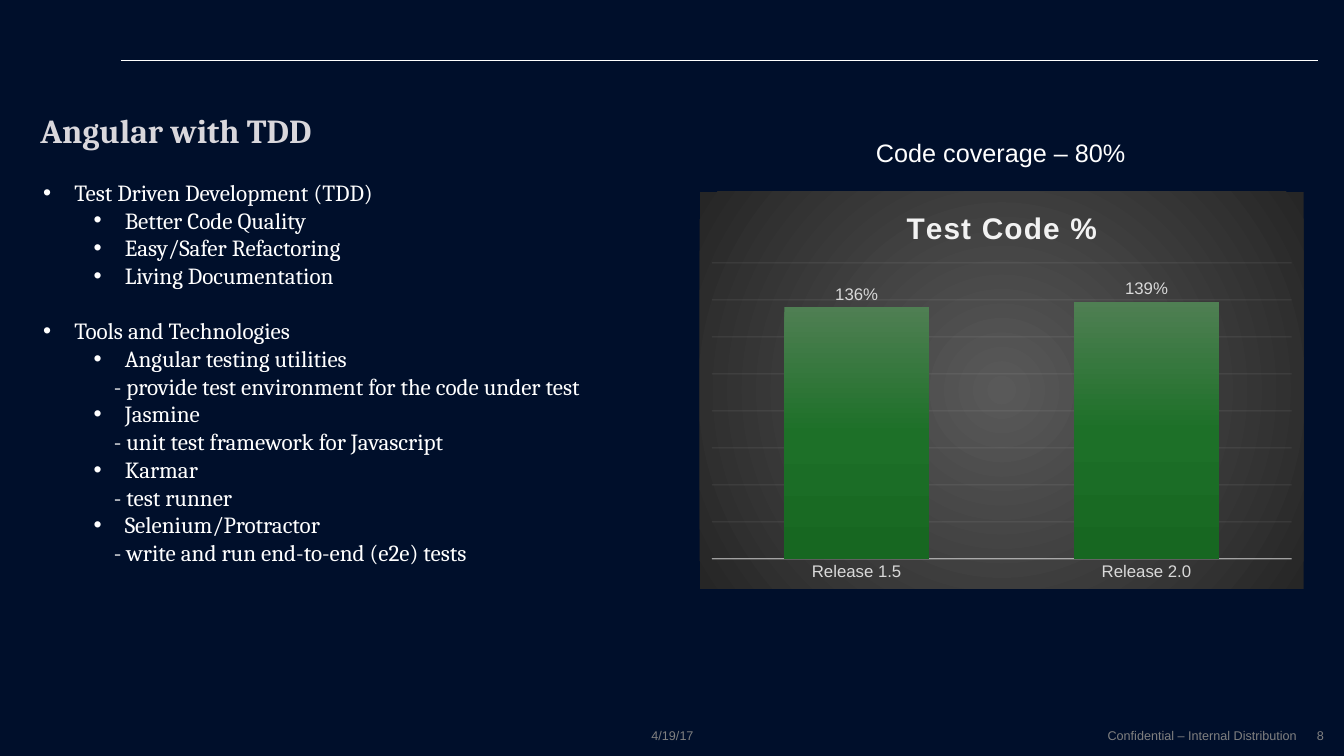
from lxml import etree
from pptx import Presentation
from pptx import util as u
from pptx.chart.data import CategoryChartData
from pptx.dml.color import RGBColor
from pptx.enum import chart as charts, shapes, text
from pptx.oxml import parse_xml
from pptx.oxml.ns import nsdecls, qn

COLORS = {
    "navy": "000F2B", "white": "FFFFFF", "title": "D9D7DC", "footer": "808080",
    "label": "D9D9D9", "light": "F2F2F2", "grey": "595959", "charcoal": "262626",
    "green_top": "4F7F53", "green_middle": "1D7028", "green_bottom": "176721",
}
ALIGN = text.PP_ALIGN
TOPICS = [
    ("topic", "Test Driven Development (TDD)", 0),
    ("item", "Better Code Quality", 0),
    ("item", "Easy/Safer Refactoring", 0),
    ("item", "Living Documentation", 19.7),
    ("topic", "Tools and Technologies", 0),
    ("item", "Angular testing utilities", 0),
    ("note", "- provide test environment for the code under test", 0),
    ("item", "Jasmine", 0),
    ("note", "- unit test framework for Javascript", 0),
    ("item", "Karmar", 0),
    ("note", "- test runner", 0),
    ("item", "Selenium/Protractor", 0),
    ("note", "- write and run end-to-end (e2e) tests", 0),
]
LEVELS = {"topic": (0, 0.31, -0.31), "item": (1, 0.81, -0.31), "note": (1, 0.7, 0)}


class SlideWriter:
    """Holds the style and the current slide, and adds elements to it."""

    def __init__(self, deck):
        self.page = deck.slides.add_slide(deck.slide_layouts[5])
        fill = self.page.background.fill
        fill.solid()
        fill.fore_color.rgb = self.color("navy")

    def color(self, name):
        return RGBColor.from_string(COLORS[name])

    def apply(self, target, **values):
        for name, value in values.items():
            setattr(target, name, value)

    def font(self, font, size, color, name="Arial", bold=False):
        self.apply(font, size=u.Pt(size), name=name, bold=bold)
        font.color.rgb = self.color(color)

    def place(self, box, left, top, width, height):
        self.apply(box, left=u.Inches(left), top=u.Inches(top),
                   width=u.Inches(width), height=u.Inches(height))

    def title(self, words, *area):
        box = self.page.shapes.title
        self.place(box, *area)
        self.apply(box.text_frame, text=words, margin_left=0, word_wrap=True,
                   vertical_anchor=text.MSO_ANCHOR.TOP, auto_size=text.MSO_AUTO_SIZE.NONE)
        para = box.text_frame.paragraphs[0]
        self.apply(para, alignment=ALIGN.LEFT, line_spacing=0.9)
        self.font(para.runs[0].font, 24, "title", "Cambria", True)

    def label(self, words, area, size, color, align=ALIGN.LEFT, wrap=True):
        box = self.page.shapes.add_textbox(*map(u.Inches, area))
        self.apply(box.text_frame, text=words, word_wrap=wrap)
        para = box.text_frame.paragraphs[0]
        para.alignment = align
        self.font(para.runs[0].font, size, color)

    def outline(self, rows, *area):
        frame = self.page.shapes.add_textbox(*map(u.Inches, area)).text_frame
        frame.word_wrap = True
        for index, (kind, words, after) in enumerate(rows):
            para = frame.add_paragraph() if index else frame.paragraphs[0]
            level, margin, indent = LEVELS[kind]
            self.apply(para, level=level, space_after=u.Pt(after))
            span = para.add_run()
            span.text = words
            self.font(span.font, 16.5, "white", "Cambria")
            properties = para._p.get_or_add_pPr()
            properties.set("marL", str(u.Inches(margin)))
            properties.set("indent", str(u.Inches(indent)))
            if kind != "note":
                etree.SubElement(properties, qn("a:buFont"), typeface="Arial")
                etree.SubElement(properties, qn("a:buChar"), char="•")

    def rule(self, left, top, right):
        line = self.page.shapes.add_connector(
            shapes.MSO_CONNECTOR.STRAIGHT,
            u.Inches(left), u.Inches(top), u.Inches(right), u.Inches(top))
        self.stroke(line.line, "white", 0.5)
        etree.SubElement(line._element.spPr, qn("a:effectLst"))

    def stroke(self, line, color, width, opacity=100):
        line.width = u.Pt(width)
        line.color.rgb = self.color(color)
        if opacity < 100:
            for shade in line._ln.iter(qn("a:srgbClr")):
                etree.SubElement(shade, qn("a:alpha"), val=str(opacity * 1000))

    def gradient(self, stops, direction):
        marks = "".join(f'<a:gs pos="{place * 1000}"><a:srgbClr val="{COLORS[name]}"/></a:gs>'
                        for place, name in stops)
        return parse_xml(f'<c:spPr {nsdecls("c", "a")}><a:gradFill><a:gsLst>{marks}</a:gsLst>'
                         f'{direction}</a:gradFill><a:ln><a:noFill/></a:ln></c:spPr>')

    def column_chart(self, name, categories, values, *area):
        data = CategoryChartData(number_format="0%")
        data.categories = categories
        data.add_series(name, values)
        chart = self.page.shapes.add_chart(
            charts.XL_CHART_TYPE.COLUMN_CLUSTERED, *map(u.Inches, area), data).chart
        chart.has_legend = False
        self.font(chart.font, 12, "label")
        self.chart_title(chart, name)
        self.chart_axes(chart)
        plot = chart.plots[0]
        self.apply(plot, gap_width=100, overlap=-24, vary_by_categories=False,
                   has_data_labels=True)
        labels = plot.data_labels
        self.apply(labels, show_value=True, number_format="0%", number_format_is_linked=False,
                   position=charts.XL_LABEL_POSITION.OUTSIDE_END)
        self.font(labels.font, 12, "label")
        series = plot.series[0]
        series.format.fill.solid()
        properties = series._element.find(qn("c:spPr"))
        properties.getparent().replace(properties, self.gradient(
            [(0, "green_top"), (50, "green_middle"), (100, "green_bottom")],
            '<a:lin ang="5400000" scaled="0"/>'))
        chart._chartSpace.find(qn("c:chart")).addnext(self.gradient(
            [(0, "grey"), (100, "charcoal")],
            '<a:path path="circle"><a:fillToRect l="50000" t="50000" r="50000" b="50000"/></a:path>'))
        self.plot_area(chart, x=0.02, y=0.18, w=0.96, h=0.745)

    def chart_title(self, chart, words):
        chart.has_title = True
        chart.chart_title.include_in_layout = False
        frame = chart.chart_title.text_frame
        frame.text = words
        span = frame.paragraphs[0].runs[0]
        self.font(span.font, 21.3, "light", bold=True)
        span.font._element.set("spc", "100")

    def chart_axes(self, chart):
        none = charts.XL_TICK_MARK.NONE
        for axis in (chart.category_axis, chart.value_axis):
            self.apply(axis, major_tick_mark=none, minor_tick_mark=none)
            self.font(axis.tick_labels.font, 12, "label")
        self.stroke(chart.category_axis.format.line, "light", 1, 54)
        axis = chart.value_axis
        self.apply(axis, minimum_scale=0, maximum_scale=1.6, major_unit=0.2,
                   has_major_gridlines=True,
                   tick_label_position=charts.XL_TICK_LABEL_POSITION.NONE)
        axis.format.line.fill.background()
        self.stroke(axis.major_gridlines.format.line, "light", 0.75, 10)

    def plot_area(self, chart, **fractions):
        area = chart._chartSpace.find(".//" + qn("c:plotArea"))
        for previous in area.findall(qn("c:layout")):
            area.remove(previous)
        layout = etree.Element(qn("c:layout"))
        manual = etree.SubElement(layout, qn("c:manualLayout"))
        settings = {"layoutTarget": "inner", "xMode": "edge", "yMode": "edge", **fractions}
        for name, value in settings.items():
            etree.SubElement(manual, qn("c:" + name), val=str(value))
        area.insert(0, layout)


def main():
    deck = Presentation()
    deck.slide_width, deck.slide_height = u.Inches(13.33), u.Inches(7.5)
    writer = SlideWriter(deck)
    writer.rule(1.2, 0.6, 13.07)
    writer.label("Confidential – Internal Distribution", (9.96, 7.17, 3, 0.25),
                 9, "footer", ALIGN.RIGHT)
    writer.label("8", (12.83, 7.17, 0.4, 0.25), 9, "footer", ALIGN.RIGHT)
    writer.label("4/19/17", (6.17, 7.17, 1, 0.25), 9, "footer", ALIGN.CENTER)
    writer.title("Angular with TDD", 0.4, 1.09, 12.61, 0.81)
    writer.outline(TOPICS, 0.33, 1.72, 12.61, 3.99)
    writer.column_chart("Test Code %", ["Release 1.5", "Release 2.0"], [1.36, 1.39],
                        6.94, 1.9, 5.99, 3.94)
    writer.label("Code coverage – 80%", (8.59, 1.31, 2.7, 0.4), 18, "white", wrap=False)
    deck.save("out.pptx")


if __name__ == "__main__":
    main()
